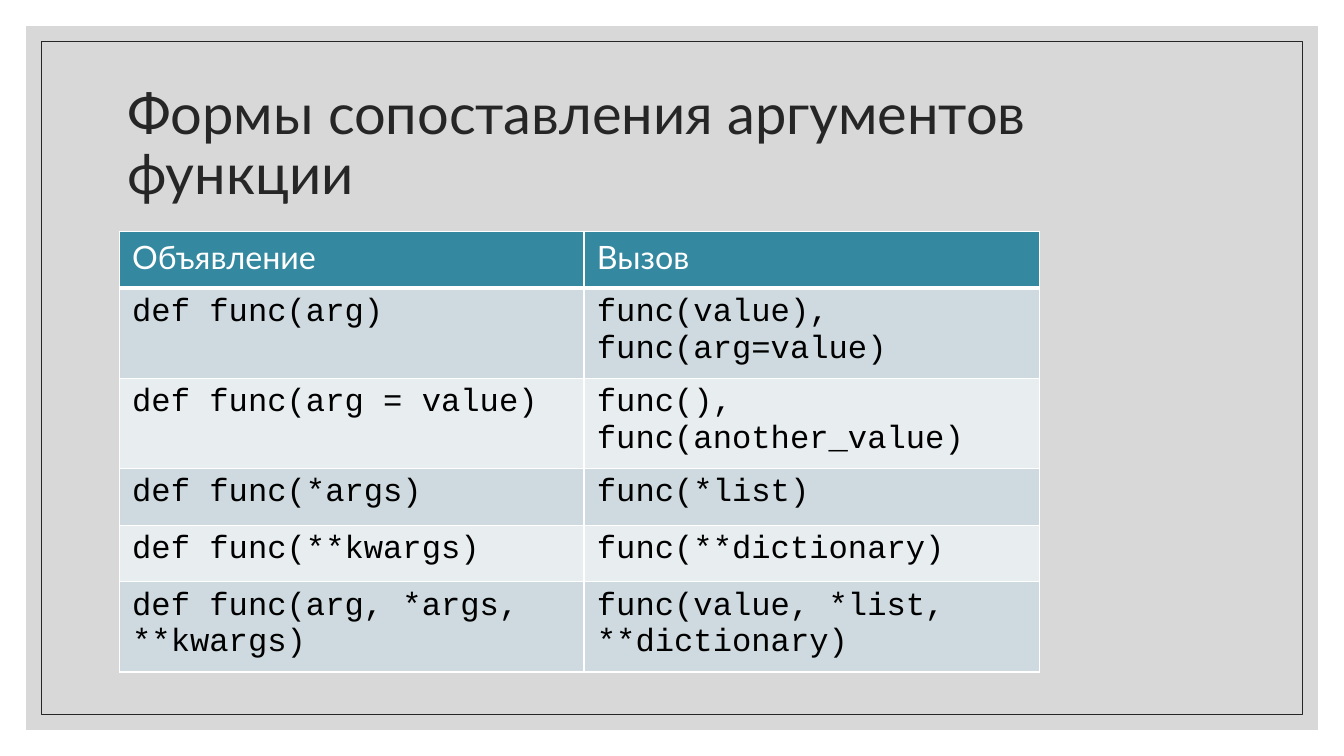
"""Build a slide with a table of Python argument matching forms."""
from pptx import Presentation
from pptx.dml.color import RGBColor as Rgb
from pptx.enum import shapes, text
from pptx.oxml import parse_xml
from pptx.oxml import ns
from pptx.util import Pt

TITLE = "Формы сопоставления аргументов функции"
ROWS = [
    ("Объявление", "Вызов"),
    ("def func(arg)", "func(value), func(arg=value)"),
    ("def func(arg = value)", "func(), func(another_value)"),
    ("def func(*args)", "func(*list)"),
    ("def func(**kwargs)", "func(**dictionary)"),
    ("def func(arg, *args, **kwargs)", "func(value, *list, **dictionary)"),
]
TALL = {1, 2, 5}


class Theme:
    """Colours, fonts and type sizes."""
    panel, ink, head = "BFBFBF", "262626", "3488A0"
    bands = ("E8EDF0", "CEDADF")
    white, black = "FFFFFF", "000000"
    sans, mono = "Lato", "Courier New"
    big, body = 40, 23


WIDE, HIGH = 960, 540
COLS = (332, 325.4)
LOW, DEEP = 40.5, 61.5


def style(para, face, size, color):
    """Set the font of a paragraph."""
    font = para.font
    font.name, font.size, font.bold = face, Pt(size), False
    font.color.rgb = Rgb.from_string(color)


def frame(slide, gap):
    """Add a rectangle at an equal gap from all slide edges."""
    box = slide.shapes.add_shape(shapes.MSO_SHAPE.RECTANGLE, Pt(gap), Pt(gap),
                                 Pt(WIDE - 2 * gap), Pt(HIGH - 2 * gap))
    box.shadow.inherit = False
    return box


def edge(cell, side, width):
    """Add a white border to one side of a cell."""
    cell._tc.get_or_add_tcPr().append(parse_xml(
        f'<a:ln{side} {ns.nsdecls("a")} w="{Pt(width)}"><a:solidFill>'
        f'<a:srgbClr val="{Theme.white}"/></a:solidFill></a:ln{side}>'))


def paint(cell, words, row):
    """Fill one table cell with text, borders and colour."""
    cell.text = words
    cell.margin_left = cell.margin_right = Pt(9.2)
    cell.margin_top = cell.margin_bottom = Pt(4.6)
    for side in "LRTB":
        edge(cell, side, 3 if (row, side) in {(0, "B"), (1, "T")} else 1)
    cell.fill.solid()
    fill = Theme.bands[row % 2] if row else Theme.head
    cell.fill.fore_color.rgb = Rgb.from_string(fill)
    look = (Theme.mono, Theme.black) if row else (Theme.sans, Theme.white)
    style(cell.text_frame.paragraphs[0], look[0], Theme.body, look[1])


deck = Presentation()
deck.slide_width, deck.slide_height = Pt(WIDE), Pt(HIGH)
slide = deck.slides.add_slide(deck.slide_layouts[6])

panel = frame(slide, 18.7)
panel.fill.solid()
panel.fill.fore_color.rgb = Rgb.from_string(Theme.panel)
tint = panel._element.spPr.find(".//" + ns.qn("a:srgbClr"))
tint.append(parse_xml(f'<a:alpha {ns.nsdecls("a")} val="60000"/>'))
panel.line.fill.background()

border = frame(slide, 29.5)
border.fill.background()
border.line.color.rgb = Rgb.from_string(Theme.ink)
border.line.width = Pt(0.5)

title = slide.shapes.add_textbox(Pt(84), Pt(50.4), Pt(792), Pt(108)).text_frame
title.word_wrap = True
title.vertical_anchor = text.MSO_ANCHOR.MIDDLE
title.text = TITLE
title.paragraphs[0].line_spacing = 0.9
style(title.paragraphs[0], Theme.sans, Theme.big, Theme.ink)

highs = [DEEP if i in TALL else LOW for i in range(len(ROWS))]
table = slide.shapes.add_table(len(ROWS), len(COLS), Pt(85.2), Pt(165.4),
                               Pt(sum(COLS)), Pt(sum(highs))).table
for col, width in zip(table.columns, COLS):
    col.width = Pt(width)
for i, (high, words) in enumerate(zip(highs, ROWS)):
    table.rows[i].height = Pt(high)
    for j, word in enumerate(words):
        paint(table.cell(i, j), word, i)

deck.save("out.pptx")
